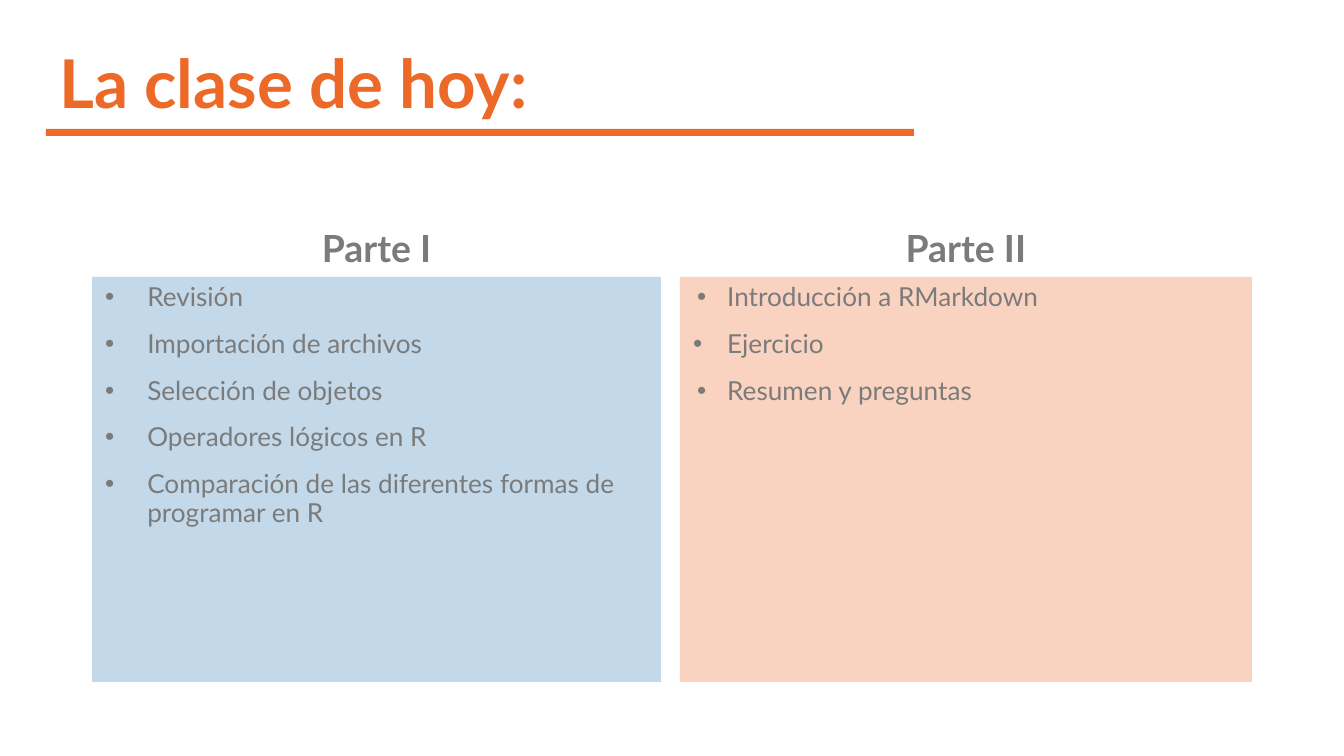
from lxml.etree import SubElement
from pptx import Presentation
from pptx.dml.color import RGBColor
from pptx.enum.shapes import MSO_SHAPE as Shape
from pptx.enum.text import MSO_ANCHOR as Anchor, PP_ALIGN as Align
from pptx.oxml.ns import qn
from pptx.util import Pt

PX = 9144000 / 1344
ORANGE, BLUE, GRAY = "EC6928", "3179B2", "7B7B7B"


def add_box(left, top, width, height, color=None, opacity=100):
    """Add a rectangle without outline, filled only when a colour is given."""
    box = slide.shapes.add_shape(
        Shape.RECTANGLE, *(round(n * PX) for n in (left, top, width, height)))
    box.shadow.inherit = False
    box.line.fill.background()
    if color:
        box.fill.solid()
        box.fill.fore_color.rgb = RGBColor.from_string(color)
        fill_color = box.fill._xPr.find(qn("a:solidFill"))[0]
        SubElement(fill_color, qn("a:alpha"), val=str(opacity * 1000))
    else:
        box.fill.background()
    box.text_frame.word_wrap = True
    return box


def format_text(paragraph, size, color, bold=False, align=Align.LEFT):
    paragraph.alignment = align
    paragraph.line_spacing = 0.9
    for run in paragraph.runs:
        run.font.name = "Lato"
        run.font.size = Pt(size)
        run.font.bold = bold
        run.font.color.rgb = RGBColor.from_string(color)


presentation = Presentation()
presentation.slide_width = round(1344 * PX)
presentation.slide_height = round(756 * PX)
slide = presentation.slides.add_slide(presentation.slide_layouts[6])

add_box(46, 129, 868, 7, ORANGE)

# Each column: left, width, colour, heading, text indent, items with their hanging
columns = [
    (92, 569, BLUE, "Parte I", 42, [
        ("Revisión", 42),
        ("Importación de archivos", 42),
        ("Selección de objetos", 42),
        ("Operadores lógicos en R", 42),
        ("Comparación de las diferentes formas de programar en R", 42)]),
    (680, 572, ORANGE, "Parte II", 34, [
        ("Introducción a RMarkdown", 30),
        ("Ejercicio", 34),
        ("Resumen y preguntas", 30)]),
]
for left, width, color, heading, indent, items in columns:
    header = add_box(left, 185, width, 92)
    header.text_frame.vertical_anchor = Anchor.BOTTOM
    header.text_frame.text = heading
    format_text(header.text_frame.paragraphs[0], 20, GRAY, True, Align.CENTER)

    panel = add_box(left, 277, width, 405, color, 29)
    panel.text_frame.vertical_anchor = Anchor.TOP
    panel.text_frame.text = "\n".join(text for text, hanging in items)
    for index, paragraph in enumerate(panel.text_frame.paragraphs):
        properties = paragraph._p.get_or_add_pPr()
        properties.set("marL", str(round(indent * PX)))
        properties.set("indent", str(round(-items[index][1] * PX)))
        bullet_color = SubElement(properties, qn("a:buClr"))
        SubElement(bullet_color, qn("a:srgbClr"), val=GRAY)
        SubElement(properties, qn("a:buFont"), typeface="Arial")
        SubElement(properties, qn("a:buChar"), char="•")
        format_text(paragraph, 14, GRAY)
        if index:
            paragraph.space_before = Pt(10)

title = add_box(46, 32, 1159, 109)
title.text_frame.vertical_anchor = Anchor.MIDDLE
title.text_frame.text = "La clase de hoy:"
format_text(title.text_frame.paragraphs[0], 36, ORANGE, True)

presentation.save("out.pptx")
